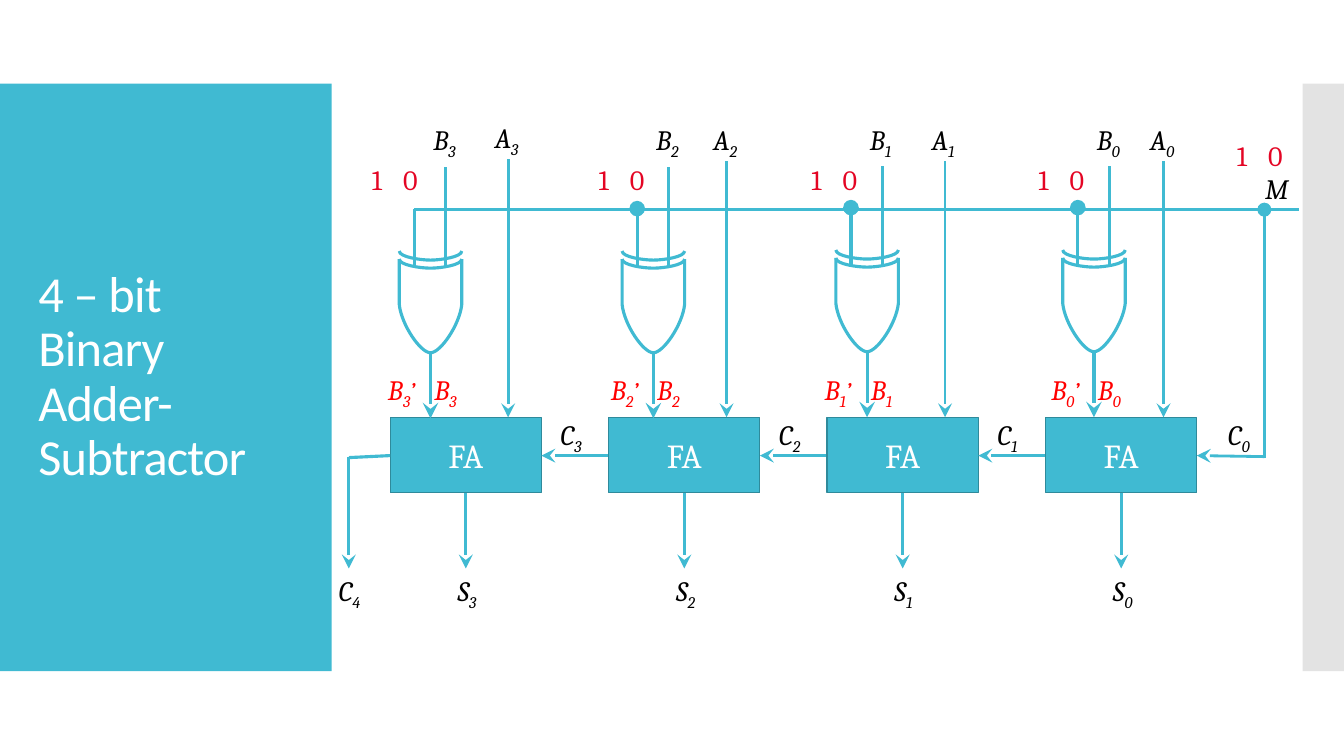
from dataclasses import dataclass

from lxml import etree
from pptx import Presentation
from pptx.dml.color import RGBColor
from pptx.enum.shapes import MSO_CONNECTOR, MSO_SHAPE
from pptx.enum.text import MSO_ANCHOR, MSO_AUTO_SIZE, PP_ALIGN
from pptx.oxml.ns import qn
from pptx.util import Inches, Pt

RECTANGLE = MSO_SHAPE.RECTANGLE
STRAIGHT = MSO_CONNECTOR.STRAIGHT
MIDDLE = MSO_ANCHOR.MIDDLE
LEFT, CENTER = PP_ALIGN.LEFT, PP_ALIGN.CENTER
NO_FIT, GROW = MSO_AUTO_SIZE.NONE, MSO_AUTO_SIZE.SHAPE_TO_FIT_TEXT


@dataclass(frozen=True)
class Theme:
    teal: str = "40BAD2"
    teal_edge: str = "2F8A9B"
    side: str = "C8C8C8"
    white: str = "FFFFFF"
    black: str = "000000"
    switch: str = "E40524"
    operand: str = "FF0000"
    title_font: str = "Calibri"
    body_font: str = "Cambria"
    title_size: int = 36
    adder_size: int = 24
    label_size: int = 20
    mark_size: int = 18
    wire: float = 2
    gate_wire: float = 2.25


THEME = Theme()
LABEL_WIDTHS = {"A": 0.46, "B": 0.46, "C": 0.45, "S": 0.44, "M": 0.42}
ADDER_WIDTH, ADDER_HEIGHT = 1.5, 0.75
ADDER_PITCH = 6.5 / 3
GATE_WIDTH = 0.62

# Bit number, gate left, gate top, left of the switch digits, top of A
STAGES = [
    (3, 3.96, 2.57, 3.59, 1.58),
    (2, 6.17, 2.57, 5.84, 1.6),
    (1, 8.29, 2.56, 7.95, 1.6),
    (0, 10.54, 2.56, 10.2, 1.6),
]

# Left halves of the gate outlines; the last three points steer a curve
GATE_BODY = [(0, 0), (0, 0.45), (0.02, 0.65), (0.21, 0.93), (0.31, 0.93)]
GATE_ARC = [(0, 0), (0, 0.06), (0.21, 0.09), (0.31, 0.09)]


def style_font(font, size, colour, name=THEME.body_font, italic=False):
    font.name = name
    font.size = Pt(size)
    font.italic = italic
    font.color.rgb = RGBColor.from_string(colour)


def add_block(page, left, top, width, height, fill):
    block = page.shapes.add_shape(
        RECTANGLE, Inches(left), Inches(top), Inches(width), Inches(height))
    block.shadow.inherit = False
    block.fill.solid()
    block.fill.fore_color.rgb = RGBColor.from_string(fill)
    block.line.fill.background()
    return block


def add_wire(page, start, end, width=THEME.wire, head=None, tail=None):
    wire = page.shapes.add_connector(
        STRAIGHT, *(Inches(value) for value in (*start, *end)))
    wire.line.width = Pt(width)
    wire.line.color.rgb = RGBColor.from_string(THEME.teal)
    outline = wire.line._get_or_add_ln()
    for tag, kind in (("a:headEnd", head), ("a:tailEnd", tail)):
        if kind:
            etree.SubElement(outline, qn(tag), type=kind, w="lg", len="lg")
    etree.SubElement(wire._element.spPr, qn("a:effectLst"))


def add_label(page, left, top, text, index="", mark="", colour=THEME.black):
    width = 0.53 if mark else LABEL_WIDTHS.get(text, 0.36)
    box = page.shapes.add_textbox(
        Inches(left), Inches(top), Inches(width), Inches(0.44))
    frame = box.text_frame
    frame.word_wrap = False
    frame.auto_size = GROW
    frame.text = text
    para = frame.paragraphs[0]
    style_font(para.runs[0].font, THEME.label_size, colour, italic=text.isalpha())
    for extra, size, baseline in ((index, THEME.label_size, "-25000"),
                                  (mark, THEME.mark_size, "0")):
        if extra:
            span = para.add_run()
            span.text = extra
            style_font(span.font, size, colour, italic=True)
            span._r.get_or_add_rPr().set("baseline", baseline)


def add_switch(page, left, top):
    """Red 1 and 0 side by side."""
    for place, digit in enumerate("10"):
        add_label(page, left + 0.31 * place, top, digit, colour=THEME.switch)


def add_outline(page, left, top, half):
    """Draw the left half of a symmetric outline and its mirror image."""
    mirrored = [(GATE_WIDTH - x, y) for x, y in reversed(half[:-1])]
    points = [(Inches(left + x), Inches(top + y)) for x, y in half + mirrored]
    builder = page.shapes.build_freeform(*points[0])
    builder.add_line_segments(points[1:], close=False)
    outline = builder.convert_to_shape()
    outline.shadow.inherit = False
    outline.fill.background()
    outline.line.color.rgb = RGBColor.from_string(THEME.teal)
    outline.line.width = Pt(THEME.gate_wire)
    # Turn the three points on each side of the middle into a curve
    track = next(outline._element.iter(qn("a:path")))
    lines = track.findall(qn("a:lnTo"))
    first = len(half) - 4
    for start in (first, first + 3):
        bend = etree.Element(qn("a:cubicBezTo"))
        lines[start].addprevious(bend)
        for line in lines[start:start + 3]:
            bend.append(line[0])
            track.remove(line)


def add_gate(page, left, top, bus_dot):
    # Inputs and output
    width = THEME.gate_wire
    add_wire(page, (left + 0.15, top - 0.5), (left + 0.15, top + 0.09), width, head=bus_dot)
    add_wire(page, (left + 0.46, top - 0.91), (left + 0.46, top + 0.09), width)
    add_wire(page, (left + 0.31, top + 0.93), (left + 0.31, top + 1.58), width, tail="stealth")
    # Body and the two input arcs
    add_outline(page, left, top, GATE_BODY)
    add_outline(page, left, top, GATE_ARC)
    add_outline(page, left, top - 0.08, GATE_ARC)


def add_adder(page, left, top):
    adder = add_block(page, left, top, ADDER_WIDTH, ADDER_HEIGHT, THEME.teal)
    adder.line.color.rgb = RGBColor.from_string(THEME.teal_edge)
    adder.line.width = Pt(0.85)
    frame = adder.text_frame
    frame.vertical_anchor = MIDDLE
    frame.text = "FA"
    para = frame.paragraphs[0]
    para.alignment = CENTER
    style_font(para.runs[0].font, THEME.adder_size, THEME.white)


def add_stage(page, left, top, stage):
    bit, gate_left, gate_top, switch_left, a_top = stage
    index = str(bit)
    middle = left + ADDER_WIDTH / 2
    right = left + ADDER_WIDTH
    bottom = top + ADDER_HEIGHT
    # Adder, its A input and its sum
    add_adder(page, left, top)
    add_wire(page, (left + 1.17, a_top), (left + 1.17, top), tail="stealth")
    add_wire(page, (middle, bottom), (middle, bottom + 0.75), tail="stealth")
    add_label(page, left + 0.94, a_top - 0.43, "A", index)
    add_label(page, left + 0.57, bottom + 0.75, "S", index)
    # Carry in from the next adder
    if bit:
        carry = top + 0.38
        add_wire(page, (left + ADDER_PITCH, carry), (right, carry), tail="stealth")
        add_label(page, left + 1.59, top - 0.05, "C", index)
    # Gate with its B input and output
    add_gate(page, gate_left, gate_top, None if bit == 3 else "oval")
    add_label(page, gate_left + 0.24, 1.17, "B", index)
    add_label(page, gate_left + 0.25, top - 0.49, "B", index, colour=THEME.operand)
    add_label(page, gate_left - 0.21, top - 0.49, "B", index, "’", THEME.operand)
    add_switch(page, switch_left, 1.56)


def add_circuit(page, left, top):
    for place, stage in enumerate(STAGES):
        add_stage(page, left + ADDER_PITCH * place, top, stage)
    # Mode line and first carry
    carry = top + 0.38
    right = left + 3 * ADDER_PITCH + ADDER_WIDTH
    add_wire(page, (12.88, 2.08), (4.11, 2.08))
    add_wire(page, (12.54, 2.08), (12.54, carry + 0.02), head="oval")
    add_wire(page, (12.54, carry + 0.01), (right, carry), tail="stealth")
    add_label(page, 12.45, 1.65, "M")
    add_switch(page, 12.17, 1.33)
    add_label(page, right + 0.21, top - 0.05, "C", "0")
    # Last carry
    corner = left - 0.41
    add_wire(page, (left, carry), (corner, carry + 0.02), THEME.gate_wire)
    add_wire(page, (corner, carry + 0.01), (corner, top + 1.5), tail="stealth")
    add_label(page, corner - 0.2, top + 1.5, "C", "4")


def add_title_panel(page, left, top, width, height):
    add_block(page, left, top, width, height, THEME.teal)
    side = add_block(page, 12.92, top, 0.42, height, THEME.side)
    colour = side._element.spPr.find(qn("a:solidFill"))[0]
    etree.SubElement(colour, qn("a:alpha"), val="50000")
    title = page.shapes.title
    page.shapes._spTree.append(title._element)
    title.left, title.top = Inches(left + 0.28), Inches(top + 0.4)
    title.width, title.height = Inches(2.74), Inches(5.03)
    frame = title.text_frame
    frame.text = "4 – bit Binary Adder-Subtractor"
    frame.word_wrap = True
    frame.auto_size = NO_FIT
    frame.vertical_anchor = MIDDLE
    para = frame.paragraphs[0]
    para.alignment = LEFT
    para.line_spacing = 0.9
    span = para.runs[0]
    style_font(span.font, THEME.title_size, THEME.white, THEME.title_font)
    span._r.get_or_add_rPr().set("spc", "-60")


def main():
    deck = Presentation()
    deck.slide_width, deck.slide_height = Inches(13.33), Inches(7.5)
    page = deck.slides.add_slide(deck.slide_layouts[5])
    add_title_panel(page, 0, 0.83, 3.29, 5.83)
    add_circuit(page, 3.87, 4.14)
    deck.save("out.pptx")


if __name__ == "__main__":
    main()
